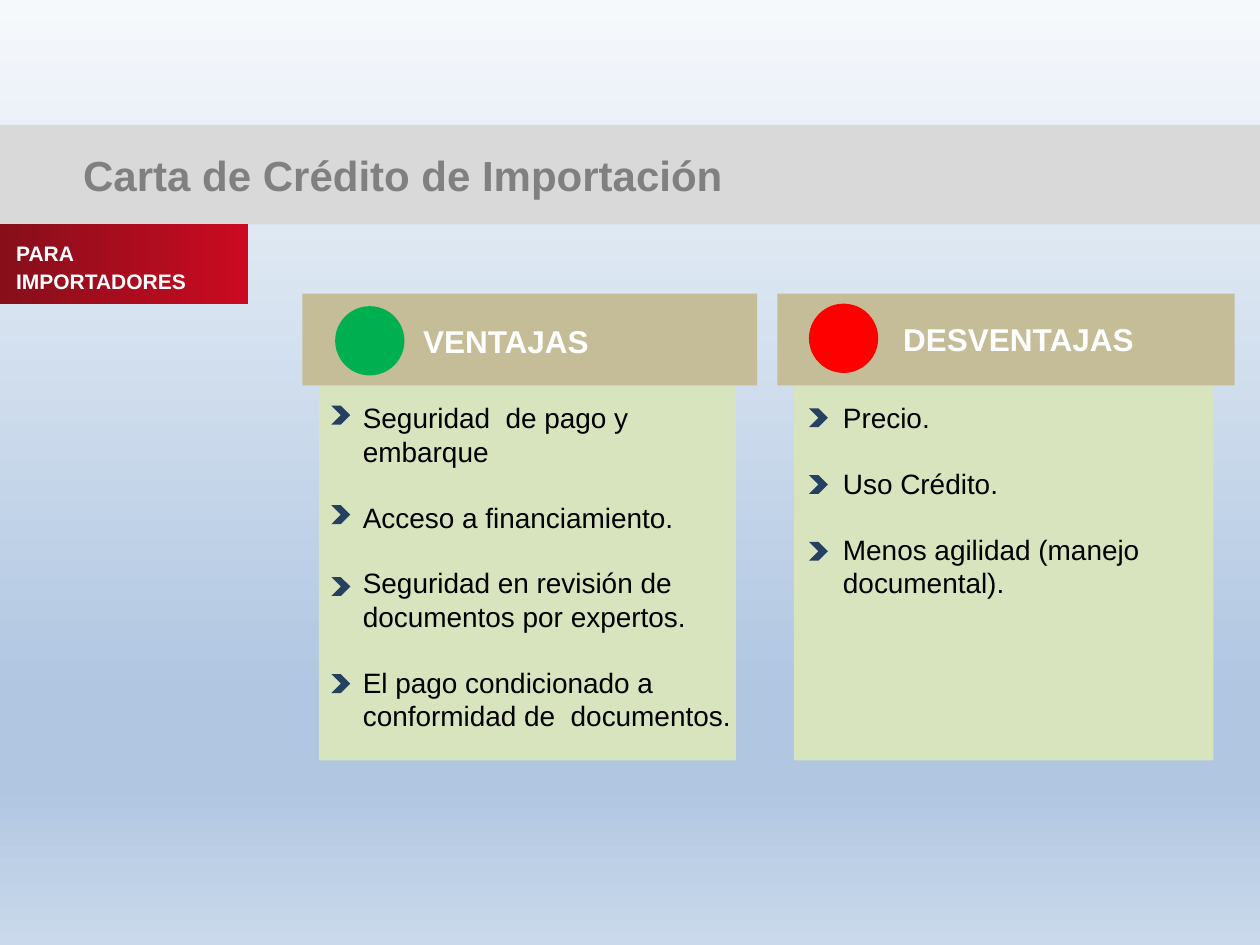
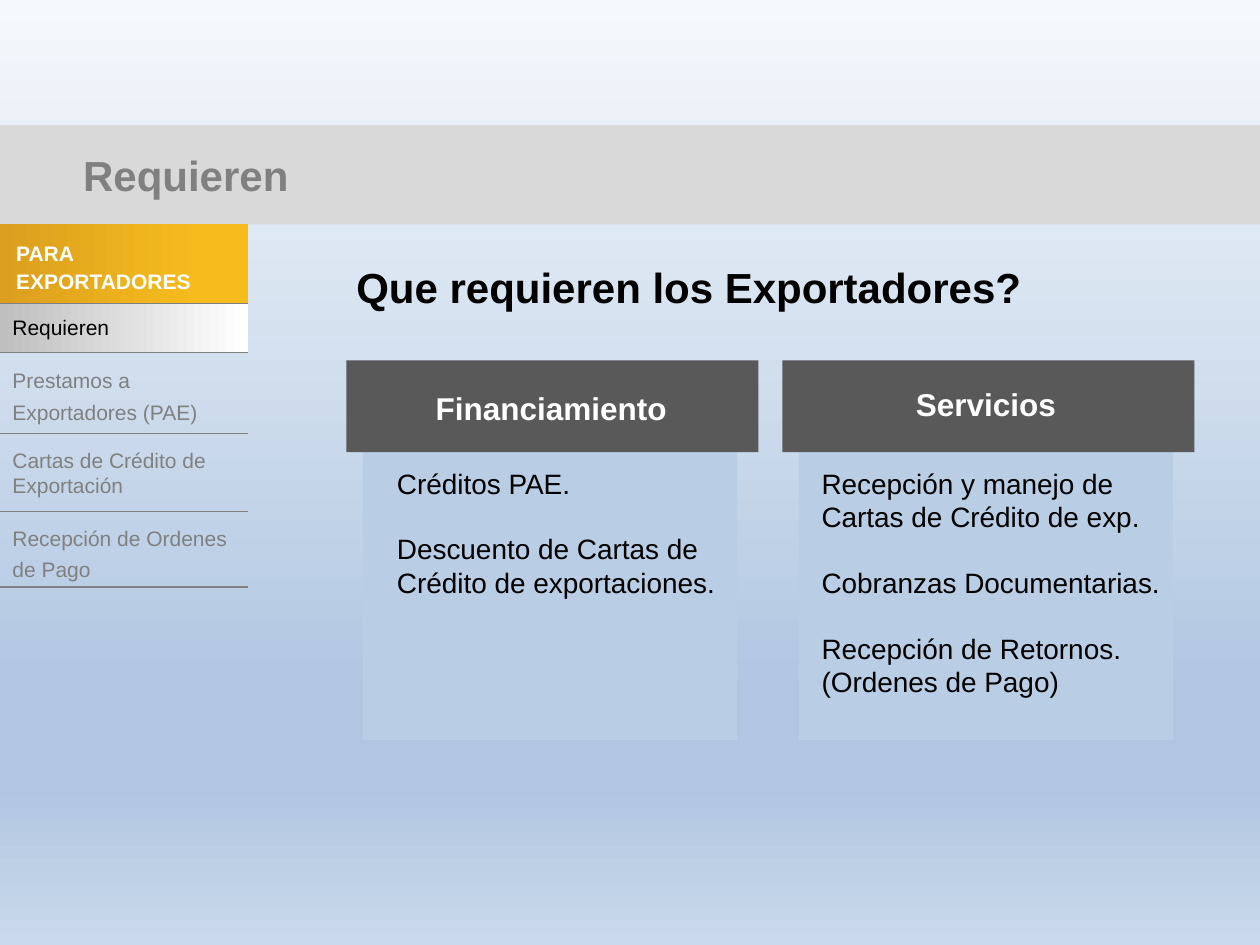
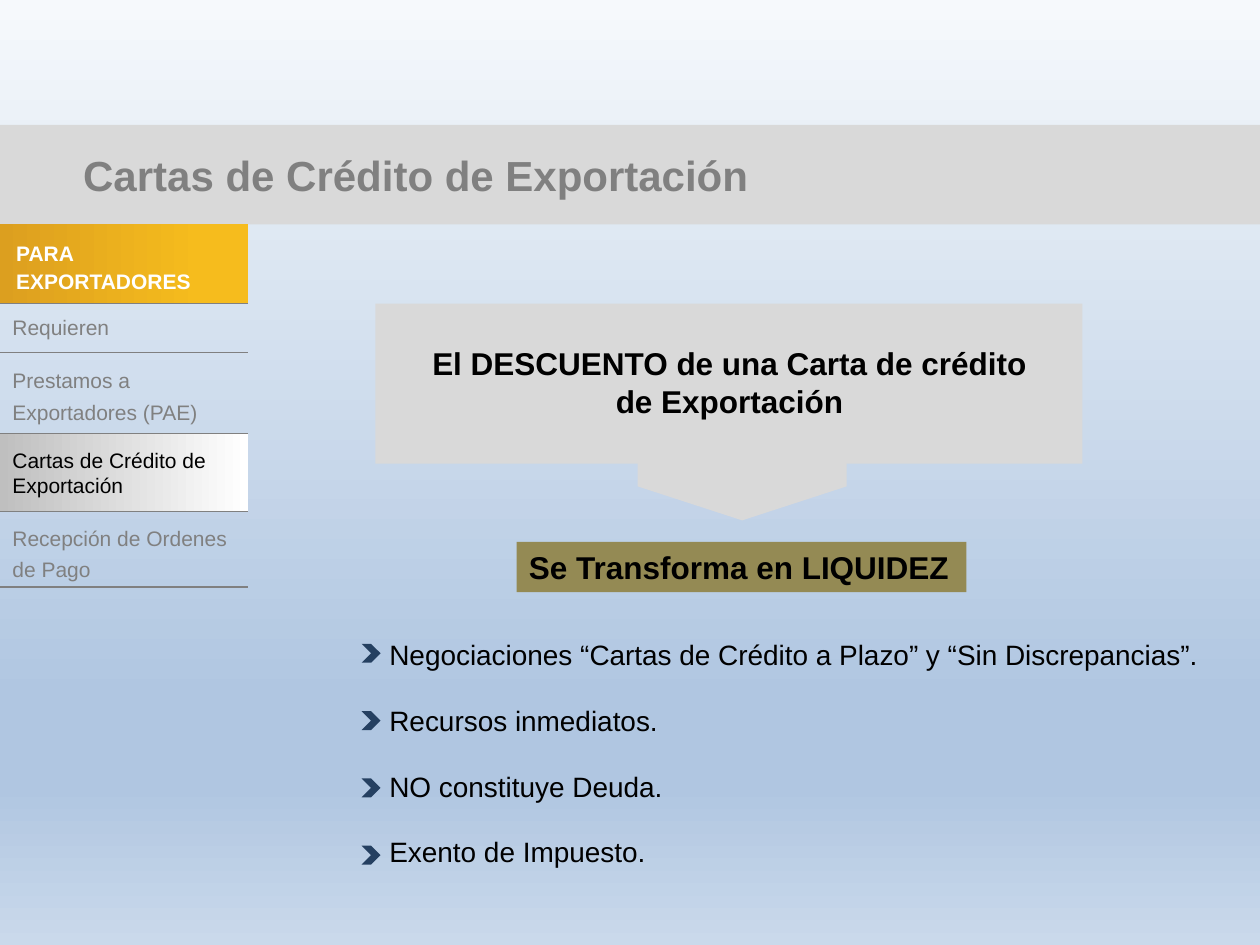
from lxml.etree import SubElement
from pptx import Presentation
from pptx.dml.color import RGBColor
from pptx.enum.shapes import MSO_CONNECTOR, MSO_SHAPE
from pptx.enum.text import MSO_ANCHOR, MSO_AUTO_SIZE, PP_ALIGN
from pptx.oxml.ns import qn
from pptx.util import Inches, Pt

# Grid: 100 columns by 75 rows
WIDTH, HEIGHT = Inches(10), Inches(7.5)
COL, ROW = WIDTH / 100, HEIGHT / 75

FONT = "Arial"
BLACK, WHITE, GREY, BAND = "000000", "FFFFFF", "808080", "D9D9D9"
NAVY, GREEN, RED = "254061", "00B050", "FF0000"
SAND, LIME, OLIVE = "C4BD97", "D7E4BD", "948A54"
SLATE, SKY = "595959", "B9CDE5"
BACK = [(0, "F6F9FC"), (74, "B0C6E1"), (83, "B0C6E1"), (100, "CAD9EB")]
WINE = [(0, "870F1B"), (100, "CB0A21")]
GOLD = [(0, "DC9F1F"), (81, "F6BC1D")]
SILVER = [(0, "BFBFBF"), (100, WHITE)]

SIDE, TOP = 19.7, 17.8  # side column width, lower edge of the title band
# Menu entries: wording, text top, lower edge, line spacing
MENU = [
    ("Requieren", 24.5, 28, 14),
    ("Prestamos a Exportadores (PAE)", 28.2, 34.4, 18),
    ("Cartas de Crédito de Exportación", 35.1, 40.6, 14),
    ("Recepción de Ordenes de Pago", 40.7, 46.6, 18),
]


def rgb(code):
    return RGBColor.from_string(code)


def area(x, y, w, h):
    return int(x * COL), int(y * ROW), int(w * COL), int(h * ROW)


def blend(fill, root, stops, angle=0):
    """Give a fill a linear gradient with the listed stops."""
    fill.gradient()
    fill.gradient_angle = angle
    items = root.find(".//" + qn("a:gsLst"))
    items.clear()
    for share, code in stops:
        stop = SubElement(items, qn("a:gs"), pos=str(share * 1000))
        SubElement(stop, qn("a:srgbClr"), val=code)


def draw(slide, spot, fill, kind=MSO_SHAPE.RECTANGLE):
    shape = slide.shapes.add_shape(kind, *area(*spot))
    shape.shadow.inherit = False
    shape.line.fill.background()
    if isinstance(fill, str):
        shape.fill.solid()
        shape.fill.fore_color.rgb = rgb(fill)
    else:
        blend(shape.fill, shape.element, fill)
    return shape


def rule(slide, y):
    line = slide.shapes.add_connector(
        MSO_CONNECTOR.STRAIGHT, 0, int(y * ROW), int(SIDE * COL), int(y * ROW))
    line.line.color.rgb = rgb(GREY)
    line.line.width = Pt(0.75)
    SubElement(line.element.spPr, qn("a:effectLst"))


def write(shape, text, size, color=BLACK, bold=False, wrap=True,
          align=PP_ALIGN.LEFT, lead=None, before=0, after=0):
    frame = shape.text_frame
    frame.text = text
    frame.word_wrap = wrap
    frame.auto_size = MSO_AUTO_SIZE.NONE
    frame.vertical_anchor = MSO_ANCHOR.TOP
    for para in frame.paragraphs:
        para.alignment = align
        para.space_before, para.space_after = Pt(before), Pt(after)
        para.line_spacing = Pt(lead) if lead else 1.0
        for run in para.runs:
            font = run.font
            font.name, font.size, font.bold = FONT, Pt(size), bold
            font.color.rgb = rgb(color)


def label(slide, spot, text, size, **style):
    write(slide.shapes.add_textbox(*area(*spot)), text, size, **style)


def place(holder, spot):
    """Move a placeholder to its spot, in front of what is drawn so far."""
    holder.left, holder.top, holder.width, holder.height = area(*spot)
    holder.element.getparent().append(holder.element)


def items(holder, spot, lines):
    place(holder, spot)
    write(holder, "\n".join(lines), 16, after=18.4)
    for para in holder.text_frame.paragraphs:
        props = para._p.get_or_add_pPr()
        props.set("marL", "0")
        props.set("indent", "0")
        SubElement(props, qn("a:buNone"))


def marks(slide, x, tops):
    for y in tops:
        draw(slide, (x, y, 1.5, 1.5), NAVY, MSO_SHAPE.CHEVRON)


def panel(slide, spot, depth, head, body):
    """Header bar over a slightly narrower body."""
    x, y, w, h = spot
    draw(slide, (x + 1.3, y + 5.85, w - 3, depth), body)
    draw(slide, (x, y, w, h), head)


def start(deck, layout, title, group, fill):
    """Slide with the title band and the side tag."""
    slide = deck.slides.add_slide(deck.slide_layouts[layout])
    draw(slide, (0, 9.9, 100, 7.9), BAND)
    place(slide.shapes.title, (5.6, 11.4, 91.8, 5))
    write(slide.shapes.title, title, 24, color=GREY, bold=True)
    draw(slide, (0, TOP, SIDE, 6.3), fill)
    label(slide, (0.3, 19.2, 19.4, 4.9), "PARA\n" + group, 12,
          color=WHITE, bold=True, lead=10, before=6)
    return slide


def menu(slide, active):
    """Side menu with the active entry lit."""
    edge = 24.1
    rule(slide, edge)
    for text, top, low, lead in MENU:
        lit = text == active
        if lit:
            draw(slide, (0, edge, SIDE, low - edge), SILVER)
            rule(slide, edge)
        label(slide, (0, top, 20.8, low - top), text, 12,
              color=BLACK if lit else GREY, lead=lead)
        rule(slide, low)
        edge = low


def imports(deck):
    slide = start(deck, 3, "Carta de Crédito de Importación",
                  "IMPORTADORES", WINE)
    for x, w in ((24, 36.1), (61.7, 36.3)):
        panel(slide, (x, 23.3, w, 7.3), 31.2, SAND, LIME)
    head = dict(color=WHITE, bold=True, wrap=False)
    label(slide, (32.6, 25.1, 15.3, 4), "VENTAJAS", 18, **head)
    label(slide, (70.7, 24.9, 20.5, 4), "DESVENTAJAS", 18, **head)
    items(slide.placeholders[1], (27.8, 31.3, 31.6, 27.9), [
        "Seguridad  de pago y embarque",
        "Acceso a financiamiento.",
        "Seguridad en revisión de documentos por expertos.",
        "El pago condicionado a conformidad de  documentos."])
    items(slide.placeholders[2], (65.9, 31.3, 29, 17.2), [
        "Precio.", "Uso Crédito.", "Menos agilidad (manejo documental)."])
    marks(slide, 26.3, (32.2, 40.1, 45.8, 53.5))
    marks(slide, 64.2, (32.4, 37.7, 43))
    draw(slide, (26.6, 24.3, 5.5, 5.5), GREEN, MSO_SHAPE.OVAL)
    draw(slide, (64.2, 24.1, 5.5, 5.5), RED, MSO_SHAPE.OVAL)


def needs(deck):
    slide = start(deck, 3, "Requieren", "EXPORTADORES", GOLD)
    menu(slide, "Requieren")
    label(slide, (27.3, 20.3, 55.3, 5), "Que requieren los Exportadores?", 24,
          bold=True, wrap=False)
    for x in (27.5, 62.1):
        panel(slide, (x, 28.6, 32.7, 7.3), 24.3, SLATE, SKY)
    head = dict(color=WHITE, bold=True, wrap=False)
    label(slide, (33.6, 30.4, 20.5, 4), "Financiamiento", 18, **head)
    label(slide, (71.7, 30.1, 13.2, 4), "Servicios", 18, **head)
    items(slide.placeholders[1], (30.5, 36.5, 29, 11.8), [
        "Créditos PAE.",
        "Descuento de Cartas de Crédito de exportaciones."])
    items(slide.placeholders[2], (64.2, 36.5, 29, 19.9), [
        "Recepción y manejo de Cartas de Crédito de exp.",
        "Cobranzas Documentarias.",
        "Recepción de Retornos. (Ordenes de Pago)"])


def exports(deck):
    title = "Cartas de Crédito de Exportación"
    slide = start(deck, 1, title, "EXPORTADORES", GOLD)
    menu(slide, title)
    # Statement with a pointer down to its result
    draw(slide, (29.8, 24.1, 56.1, 12.7), BAND)
    label(slide, (32.9, 26.8, 50, 7.1),
          "El DESCUENTO de una Carta de crédito de Exportación", 18,
          bold=True, align=PP_ALIGN.CENTER)
    point = draw(slide, (56.2, 30.3, 5.4, 16.6), BAND, MSO_SHAPE.PENTAGON)
    point.rotation = 90
    result = draw(slide, (41, 43, 35.7, 4), OLIVE)
    write(result, "Se Transforma en LIQUIDEZ", 18, bold=True, wrap=False)
    # Benefits
    items(slide.placeholders[1], (29.9, 50.1, 66.7, 19.9), [
        "Negociaciones “Cartas de Crédito a Plazo” y “Sin Discrepancias”.",
        "Recursos inmediatos.",
        "NO constituye Deuda.",
        "Exento de Impuesto."])
    marks(slide, 28.7, [51.1 + 5.34 * step for step in range(4)])


def main():
    deck = Presentation()
    deck.slide_width, deck.slide_height = WIDTH, HEIGHT
    master = deck.slide_master
    blend(master.background.fill, master.element, BACK, 270)
    imports(deck)
    needs(deck)
    exports(deck)
    deck.save("out.pptx")


if __name__ == "__main__":
    main()
